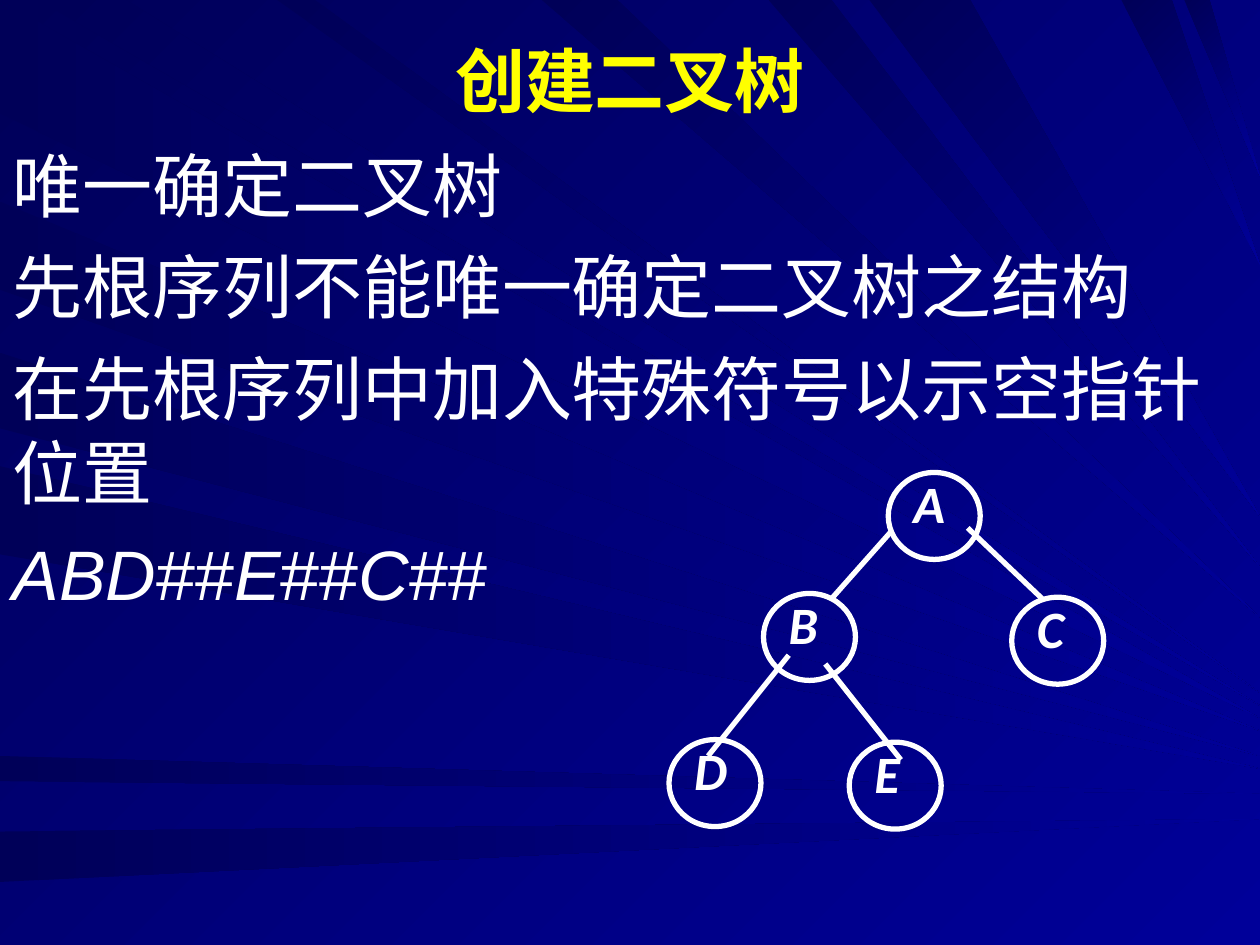
import lxml.etree
import pptx
import pptx.dml.color
import pptx.enum.shapes
import pptx.enum.text
import pptx.oxml.ns
import pptx.util

Inches = pptx.util.Inches
Pt = pptx.util.Pt
qn = pptx.oxml.ns.qn

WHITE = "FFFFFF"
YELLOW = "FFFF00"
DARK = "000058"
BRIGHT = "000099"
CJK_FONT = "Noto Sans CJK SC"

LEFT_RAYS = [(0, 0.9, 5.7), (1.6, 2.3, 5.8), (2.8, 3.4, 6), (3.7, 4.4, 6.1),
             (6, 6.2, 6.3), (6.6, 7, 6.5)]
TOP_RAYS = [(0.3, 1, 5.6), (2.2, 2.5, 5.5), (4.3, 4.9, 4.9), (6.1, 6.6, 4.5),
            (6.9, 7.7, 4.1), (8.9, 9.3, 2.1), (9.4, 9.6, 1.4)]

BODY_LINES = [
    ["唯一确定二叉树"],
    ["先根序列不能唯一确定二叉树之结构"],
    ["在先根序列中加入特殊符号以示空指针位置"],
    ["ABD", "##", "E", "##", "C", "##"],
]

NODES = {"A": (1.74, 0), "B": (0.75, 0.96), "C": (2.72, 0.99), "D": (0, 2.12), "E": (1.43, 2.14)}
EDGES = [
    (0.95, 1.45, 0.31, 2.25),
    (1.24, 1.52, 1.84, 2.28),
    (2.37, 0.44, 2.96, 1),
    (1.77, 0.46, 1.3, 0.99),
]


def color(hex_text):
    return pptx.dml.color.RGBColor.from_string(hex_text)


def fill_gradient(fill, clockwise_angle):
    fill.gradient()
    fill.gradient_angle = -clockwise_angle % 360
    for stop, shade in zip(fill.gradient_stops, (DARK, BRIGHT)):
        stop.color.rgb = color(shade)


def set_font(font, name, size, shade, bold=False, italic=None):
    font.name = name
    font.size = Pt(size)
    font.color.rgb = color(shade)
    font.bold = bold
    font.italic = italic


def place(shape, left, top, width, height):
    shape.left, shape.top = Inches(left), Inches(top)
    shape.width, shape.height = Inches(width), Inches(height)
    frame = shape.text_frame
    frame.word_wrap = True
    frame.auto_size = pptx.enum.text.MSO_AUTO_SIZE.NONE
    frame.vertical_anchor = pptx.enum.text.MSO_ANCHOR.TOP
    return frame


def add_rays(page, left, top, width):
    wedges = [((0, start), (0, end), tip, 0) for start, end, tip in LEFT_RAYS]
    wedges += [((start, 0), (end, 0), tip, 45) for start, end, tip in TOP_RAYS]
    group = page.shapes.add_group_shape()
    for first, second, tip, angle in wedges:
        corners = [(Inches(left + x), Inches(top + y)) for x, y in (first, second, (width, tip))]
        builder = group.shapes.build_freeform(*corners[0])
        builder.add_line_segments(corners[1:], close=True)
        ray = builder.convert_to_shape()
        ray.shadow.inherit = False
        ray.line.fill.background()
        fill_gradient(ray.fill, angle)
    group.element.getparent().insert(2, group.element)


def fill_title(title, left, top, width, height):
    para = place(title, left, top, width, height).paragraphs[0]
    para.text = "创建二叉树"
    para.alignment = pptx.enum.text.PP_ALIGN.CENTER
    set_font(para.font, CJK_FONT, 40, YELLOW, bold=True)
    defaults = para._p.pPr.find(qn("a:defRPr"))
    lxml.etree.SubElement(defaults, qn("a:ea"), typeface=CJK_FONT)


def fill_body(body, left, top, width, height):
    frame = place(body, left, top, width, height)
    for index, pieces in enumerate(BODY_LINES):
        para = frame.add_paragraph() if index else frame.paragraphs[0]
        para.space_before = Pt(10 if index else 0)
        properties = para._p.get_or_add_pPr()
        properties.set("marL", "0")
        properties.set("indent", "0")
        lxml.etree.SubElement(properties, qn("a:buNone"))
        set_font(para.font, "Arial", 40, WHITE)
        for piece in pieces:
            span = para.add_run()
            span.text = piece
            if piece.isascii():
                span.font.italic = piece.isalpha()


def add_edge(page, start_x, start_y, end_x, end_y):
    edge = page.shapes.add_connector(
        pptx.enum.shapes.MSO_CONNECTOR.STRAIGHT,
        Inches(start_x), Inches(start_y), Inches(end_x), Inches(end_y))
    edge.line.color.rgb = color(WHITE)
    edge.line.width = Pt(3)
    lxml.etree.SubElement(edge.element.spPr, qn("a:effectLst"))


def add_node(page, letter, left, top):
    circle = page.shapes.add_shape(
        pptx.enum.shapes.MSO_SHAPE.OVAL,
        Inches(left), Inches(top), Inches(0.73), Inches(0.69))
    circle.shadow.inherit = False
    circle.fill.background()
    circle.line.color.rgb = color(WHITE)
    circle.line.width = Pt(3)
    label = page.shapes.add_textbox(0, 0, 0, 0)
    frame = place(label, left + 0.2, top + 0.15, 0.33, 0.38)
    frame.margin_left = frame.margin_right = frame.margin_top = frame.margin_bottom = 0
    para = frame.paragraphs[0]
    para.text = letter
    para.line_spacing = 0.64
    set_font(para.font, "Calibri", 30, WHITE, bold=True, italic=True)


def add_tree(page, left, top):
    for start_x, start_y, end_x, end_y in EDGES:
        add_edge(page, left + start_x, top + start_y, left + end_x, top + end_y)
    for letter, (x, y) in NODES.items():
        add_node(page, letter, left + x, top + y)


def main():
    deck = pptx.Presentation()
    deck.slide_width, deck.slide_height = Inches(10), Inches(7.5)
    page = deck.slides.add_slide(deck.slide_layouts[1])
    fill_gradient(page.background.fill, 45)
    add_rays(page, 0, 0, 10)
    fill_title(page.shapes.title, 0, 0.25, 10, 0.83)
    fill_body(page.placeholders[1], 0, 1.08, 10, 5.62)
    add_tree(page, 5.31, 3.75)
    deck.save("out.pptx")


if __name__ == "__main__":
    main()
